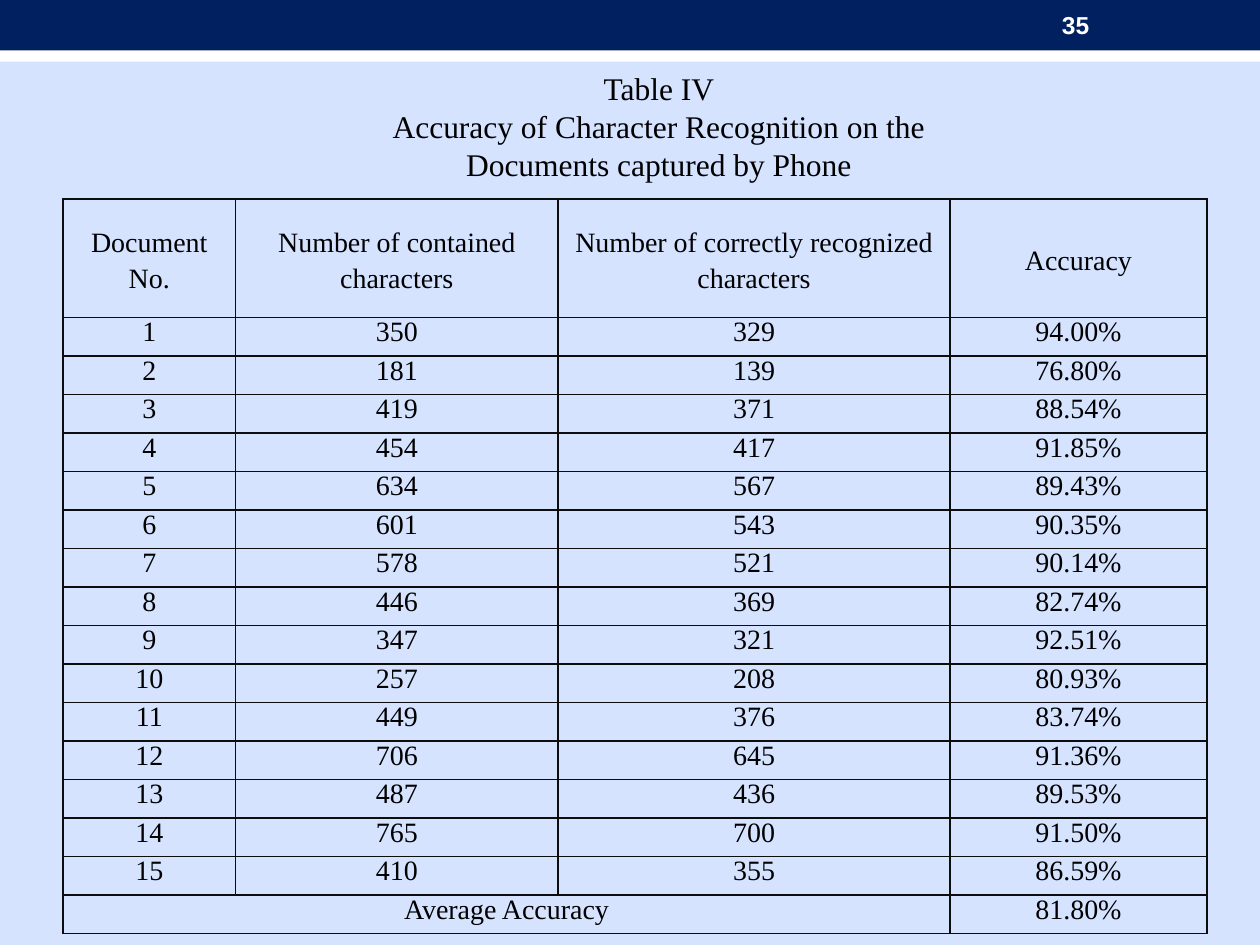
from dataclasses import dataclass
from typing import NamedTuple

from lxml import etree
from pptx import Presentation
from pptx import util as u
from pptx.dml.color import RGBColor
from pptx.enum import shapes, text
from pptx.oxml import ns


@dataclass(frozen=True)
class Theme:
    background: str = "D5E3FF"
    banner: str = "002060"
    white: str = "FFFFFF"
    ink: str = "000000"
    border: str = "0D0D0D"
    serif: str = "Times New Roman"
    sans: str = "Arial"
    page_size: int = 14
    caption_size: int = 18
    table_size: int = 16
    border_width: int = 1


class Box(NamedTuple):
    left: float
    top: float
    width: float
    height: float

    def inches(self) -> list:
        return [u.Inches(side) for side in self]


class Band(NamedTuple):
    box: Box
    color: str


class Label(NamedTuple):
    box: Box
    lines: list
    font: str
    size: int
    color: str
    bold: bool
    align: text.PP_ALIGN
    anchor: text.MSO_ANCHOR


class Result(NamedTuple):
    contained: int
    recognized: int
    accuracy: str


THEME = Theme()
BANDS = [
    Band(Box(0, 0.24, 10, 0.25), THEME.white),
    Band(Box(0, 0, 10, 0.4), THEME.banner),
]
LABELS = [
    Label(Box(8.33, 0.02, 1.17, 0.36), ["35"], THEME.sans, THEME.page_size,
          THEME.white, True, text.PP_ALIGN.LEFT, text.MSO_ANCHOR.MIDDLE),
    Label(Box(2.73, 0.5, 5, 1.01),
          ["Table IV", "Accuracy of Character Recognition on the Documents captured by Phone"],
          THEME.serif, THEME.caption_size, THEME.ink, False,
          text.PP_ALIGN.CENTER, text.MSO_ANCHOR.TOP),
]
HEADINGS = ["Document No.", "Number of contained characters",
            "Number of correctly recognized characters", "Accuracy"]
RESULTS = [
    Result(350, 329, "94.00%"),
    Result(181, 139, "76.80%"),
    Result(419, 371, "88.54%"),
    Result(454, 417, "91.85%"),
    Result(634, 567, "89.43%"),
    Result(601, 543, "90.35%"),
    Result(578, 521, "90.14%"),
    Result(446, 369, "82.74%"),
    Result(347, 321, "92.51%"),
    Result(257, 208, "80.93%"),
    Result(449, 376, "83.74%"),
    Result(706, 645, "91.36%"),
    Result(487, 436, "89.53%"),
    Result(765, 700, "91.50%"),
    Result(410, 355, "86.59%"),
]
AVERAGE = ["Average Accuracy", "", "", "81.80%"]
TABLE_BOX = Box(0.5, 1.58, 9.08, 5.83)
COLUMN_WIDTHS = [1.37, 2.56, 3.11, 2.04]
HEADING_HEIGHT = 0.94


def add_run(paragraph, words: str, font: str, size: int, color: str, bold: bool = False) -> None:
    run = paragraph.add_run()
    run.text = words
    run.font.name = font
    run.font.size = u.Pt(size)
    run.font.bold = bold
    run.font.color.rgb = RGBColor.from_string(color)


def draw_band(slide, band: Band) -> None:
    bar = slide.shapes.add_shape(shapes.MSO_SHAPE.RECTANGLE, *band.box.inches())
    bar.shadow.inherit = False
    bar.fill.solid()
    bar.fill.fore_color.rgb = RGBColor.from_string(band.color)
    bar.line.fill.background()


def draw_label(slide, label: Label) -> None:
    frame = slide.shapes.add_textbox(*label.box.inches()).text_frame
    frame.word_wrap = True
    frame.vertical_anchor = label.anchor
    for index, line in enumerate(label.lines):
        paragraph = frame.add_paragraph() if index else frame.paragraphs[0]
        paragraph.alignment = label.align
        add_run(paragraph, line, label.font, label.size, label.color, label.bold)


def set_borders(cell) -> None:
    properties = cell._tc.get_or_add_tcPr()
    for index, side in enumerate(("a:lnL", "a:lnR", "a:lnT", "a:lnB")):
        edge = etree.Element(ns.qn(side), w=str(u.Pt(THEME.border_width)))
        fill = etree.SubElement(edge, ns.qn("a:solidFill"))
        etree.SubElement(fill, ns.qn("a:srgbClr"), val=THEME.border)
        properties.insert(index, edge)


def fill_cell(cell, words: str, line_spacing: float | u.Length) -> None:
    cell.fill.background()
    cell.vertical_anchor = text.MSO_ANCHOR.MIDDLE
    cell.margin_left = cell.margin_right = u.Inches(0.07)
    cell.margin_top = u.Inches(0.01)
    cell.margin_bottom = 0
    set_borders(cell)
    paragraph = cell.text_frame.paragraphs[0]
    paragraph.alignment = text.PP_ALIGN.CENTER
    paragraph.line_spacing = line_spacing
    if words:
        add_run(paragraph, words, THEME.serif, THEME.table_size, THEME.ink)


def draw_accuracy_table(slide) -> None:
    numbered = [[str(number), str(result.contained), str(result.recognized), result.accuracy]
                for number, result in enumerate(RESULTS, 1)]
    content = [HEADINGS, *numbered, AVERAGE]
    table = slide.shapes.add_table(len(content), len(HEADINGS), *TABLE_BOX.inches()).table
    table.first_row = table.horz_banding = False
    for column, width in zip(table.columns, COLUMN_WIDTHS):
        column.width = u.Inches(width)
    body_height = (TABLE_BOX.height - HEADING_HEIGHT) / (len(content) - 1)
    for index, row in enumerate(content):
        heading = index == 0
        table.rows[index].height = u.Inches(HEADING_HEIGHT if heading else body_height)
        for cell, words in zip(table.rows[index].cells, row):
            fill_cell(cell, words, 1.15 if heading else u.Pt(12))
    last = len(content) - 1
    table.cell(last, 0).merge(table.cell(last, 2))


def main() -> None:
    deck = Presentation()
    deck.slide_width, deck.slide_height = u.Inches(10), u.Inches(7.5)
    slide = deck.slides.add_slide(deck.slide_layouts[6])
    slide.background.fill.solid()
    slide.background.fill.fore_color.rgb = RGBColor.from_string(THEME.background)
    for band in BANDS:
        draw_band(slide, band)
    for label in LABELS:
        draw_label(slide, label)
    draw_accuracy_table(slide)
    deck.save("out.pptx")


if __name__ == "__main__":
    main()
